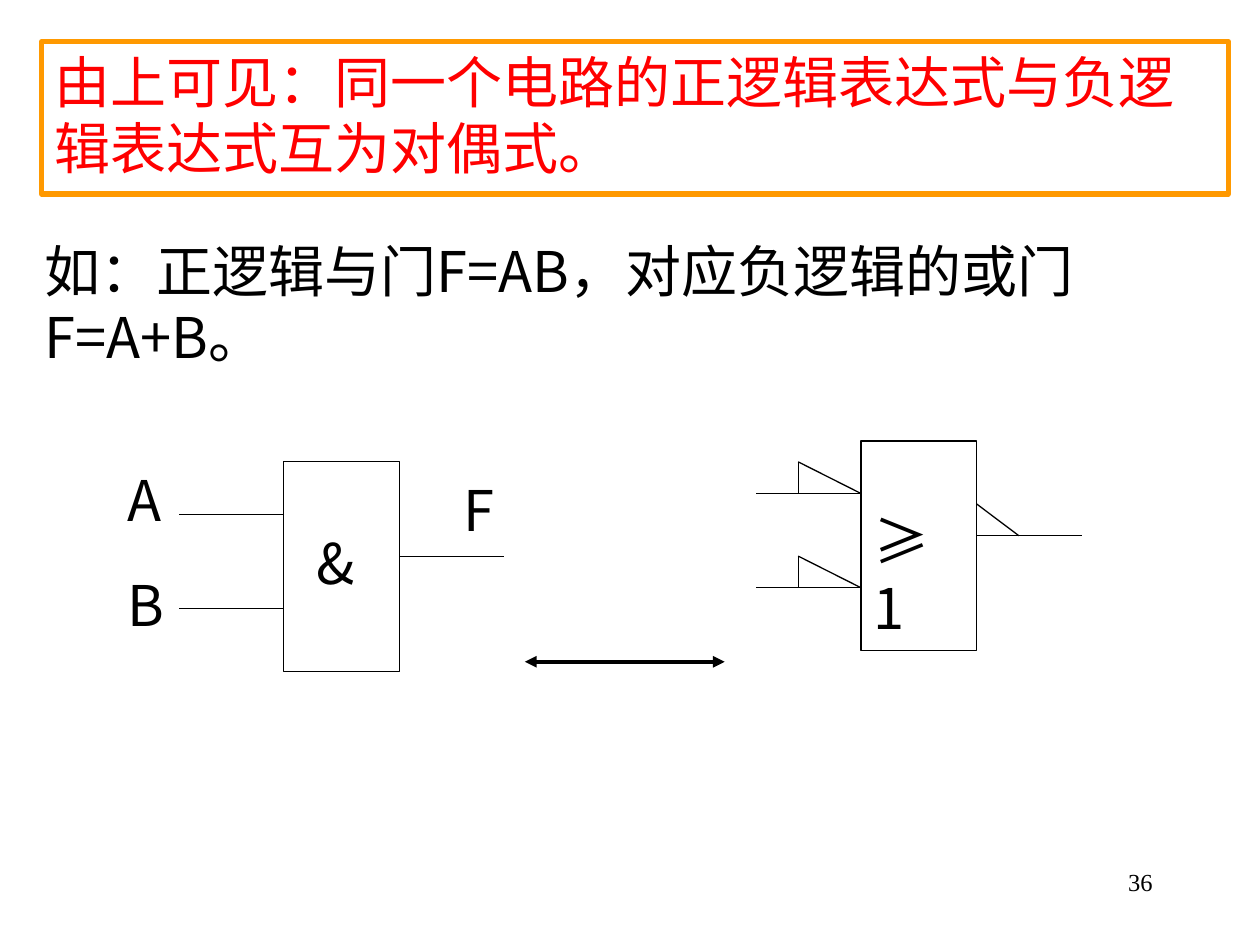
from lxml.etree import SubElement
from pptx import Presentation
from pptx.dml.color import RGBColor
from pptx.enum.shapes import MSO_CONNECTOR, MSO_SHAPE
from pptx.enum.text import MSO_ANCHOR, MSO_AUTO_SIZE, PP_ALIGN
from pptx.oxml.ns import qn
from pptx.util import Cm, Pt

COLORS = {"ink": "000000", "statement": "FF0000", "frame": "FF9900"}
FONT = "Noto Sans CJK SC"

STATEMENT = "由上可见：同一个电路的正逻辑表达式与负逻辑表达式互为对偶式。"
EXAMPLE = "如：正逻辑与门F=AB，对应负逻辑的或门F=A+B。"
PAGE_NUMBER = "36"
LABELS = [
    ("A", 2.33, 9.27, 1.06),
    ("B", 2.33, 11.39, 1.06),
    ("F", 9.1, 9.47, 1.06),
    ("&", 6.14, 10.54, 1.06),
    ("≥1", 17.36, 10.11, 2.2),
]
GATES = [
    {"left": 5.72, "top": 9.31, "negative": False},
    {"left": 17.36, "top": 8.89, "negative": True},
]
GATE_WIDTH, GATE_HEIGHT = 2.33, 4.23
INPUT_OFFSETS = (1.06, 2.96)
OUTPUT_OFFSET = 1.91
LEAD = 2.12
FLAG_HEIGHT, INPUT_FLAG, OUTPUT_FLAG = 0.64, 1.27, 0.85
ARROW = [(10.58, 13.34), (14.61, 13.34)]


def color(name):
    return RGBColor.from_string(COLORS[name])


def place(shape, left, top, width, height):
    shape.left, shape.top = Cm(left), Cm(top)
    shape.width, shape.height = Cm(width), Cm(height)


def write(shape, text, size=32, font=FONT, ink="ink", align=PP_ALIGN.LEFT, line_height=38):
    frame = shape.text_frame
    frame.word_wrap = True
    frame.auto_size = MSO_AUTO_SIZE.NONE
    frame.vertical_anchor = MSO_ANCHOR.TOP
    paragraph = frame.paragraphs[0]
    paragraph.alignment = align
    paragraph.space_before = Pt(0)
    if line_height:
        paragraph.line_spacing = Pt(line_height)
    run = paragraph.add_run()
    run.text = text
    run.font.size = Pt(size)
    run.font.name = font
    run.font.color.rgb = color(ink)
    SubElement(run.font._element, qn("a:ea"), typeface=font)
    return paragraph


def add_text(slide, text, left, top, width, height, **style):
    box = slide.shapes.add_textbox(Cm(left), Cm(top), Cm(width), Cm(height))
    write(box, text, **style)


def add_line(slide, start, end, width=0.75, arrows=False):
    points = [Cm(value) for value in (*start, *end)]
    connector = slide.shapes.add_connector(MSO_CONNECTOR.STRAIGHT, *points)
    connector.line.color.rgb = color("ink")
    connector.line.width = Pt(width)
    if arrows:
        outline = connector.line._get_or_add_ln()
        for tag in ("a:headEnd", "a:tailEnd"):
            SubElement(outline, qn(tag), type="triangle")
    SubElement(connector._element.spPr, qn("a:effectLst"))


def add_gate(slide, left, top, negative):
    body = slide.shapes.add_shape(
        MSO_SHAPE.RECTANGLE, Cm(left), Cm(top), Cm(GATE_WIDTH), Cm(GATE_HEIGHT)
    )
    body.shadow.inherit = False
    body.fill.background()
    body.line.color.rgb = color("ink")
    body.line.width = Pt(0.75)

    for offset in INPUT_OFFSETS:
        y = top + offset
        add_line(slide, (left, y), (left - LEAD, y))
        if negative:
            flag_x = left - INPUT_FLAG
            add_line(slide, (flag_x, y), (flag_x, y - FLAG_HEIGHT))
            add_line(slide, (flag_x, y - FLAG_HEIGHT), (left, y))

    right, y = left + GATE_WIDTH, top + OUTPUT_OFFSET
    add_line(slide, (right, y), (right + LEAD, y))
    if negative:
        add_line(slide, (right, y - FLAG_HEIGHT), (right + OUTPUT_FLAG, y))


def main():
    presentation = Presentation()
    presentation.slide_width, presentation.slide_height = Cm(25.4), Cm(19.05)
    slide = presentation.slides.add_slide(presentation.slide_layouts[1])

    title, body = slide.placeholders
    place(title, 0.84, 0.84, 23.92, 3.07)
    title.line.color.rgb = color("frame")
    title.line.width = Pt(3)
    write(title, STATEMENT, ink="statement")

    place(body, 0.64, 4.65, 24.8, 3)
    properties = write(body, EXAMPLE)._element.get_or_add_pPr()
    properties.set("marL", "0")
    properties.set("indent", "0")
    SubElement(properties, qn("a:buNone"))

    for gate in GATES:
        add_gate(slide, **gate)
    for text, left, top, width in LABELS:
        add_text(slide, text, left, top, width, 1.6)
    add_line(slide, *ARROW, width=2.25, arrows=True)
    add_text(slide, PAGE_NUMBER, 18.2, 17.36, 5.29, 1.27, size=14,
             font="Times New Roman", align=PP_ALIGN.RIGHT, line_height=None)

    presentation.save("out.pptx")


if __name__ == "__main__":
    main()
